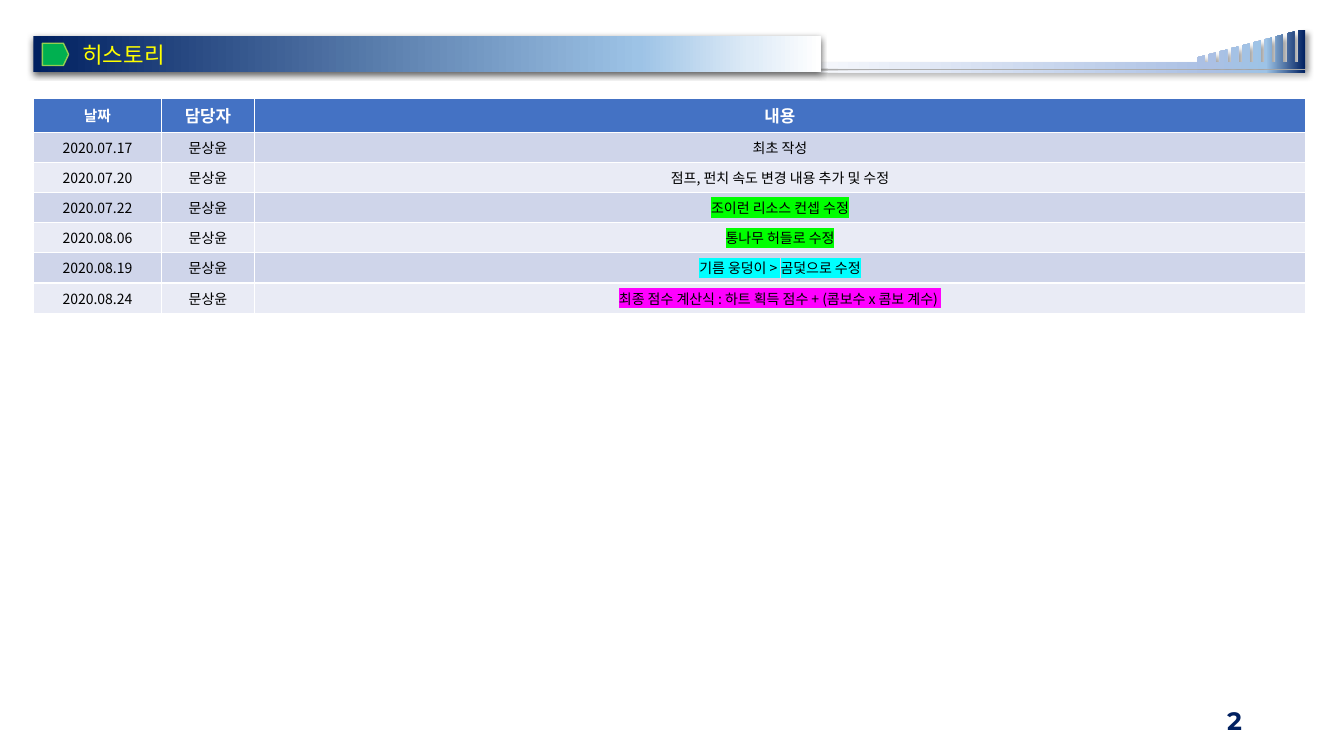
from typing import NamedTuple, Optional

from lxml.etree import SubElement
from pptx import Presentation
from pptx.dml.color import RGBColor
from pptx.enum.shapes import MSO_SHAPE
from pptx.enum.text import MSO_ANCHOR, PP_ALIGN
from pptx.oxml.ns import qn
from pptx.util import Cm, Pt

NAVY = RGBColor(0x00, 0x20, 0x60)
SKY = RGBColor(0x9D, 0xC3, 0xE6)
PALE_SKY = RGBColor(0xDE, 0xEB, 0xF7)
MIST = RGBColor(0xF6, 0xF8, 0xFC)
STEEL = RGBColor(0xAB, 0xC0, 0xE4)
WHITE = RGBColor(0xFF, 0xFF, 0xFF)
BLACK = RGBColor(0x00, 0x00, 0x00)
YELLOW = RGBColor(0xFF, 0xFF, 0x00)
GREEN = RGBColor(0x00, 0xB0, 0x50)
LIGHT_GREEN = RGBColor(0x92, 0xD0, 0x50)
HEADER_BLUE = RGBColor(0x44, 0x72, 0xC4)
BANDS = (RGBColor(0xCF, 0xD5, 0xEA), RGBColor(0xE9, 0xEB, 0xF5))
LIME = RGBColor(0x00, 0xFF, 0x00)
CYAN = RGBColor(0x00, 0xFF, 0xFF)
MAGENTA = RGBColor(0xFF, 0x00, 0xFF)
KOREAN_FONT = "Noto Sans CJK KR"
NUMBER_FONT = "Montserrat"


class Change(NamedTuple):
    date: str
    content: str
    highlight: Optional[RGBColor] = None


class Shadow(NamedTuple):
    opacity: int
    blur: float
    distance: float
    angle: int


AUTHOR = "문상윤"
HEADINGS = (("날짜", 10.5), ("담당자", 12), ("내용", 12))
COLUMN_WIDTHS = (3.23, 2.34, 26.49)
HISTORY = (
    Change("2020.07.17", "최초 작성"),
    Change("2020.07.20", "점프, 펀치 속도 변경 내용 추가 및 수정"),
    Change("2020.07.22", "조이런 리소스 컨셉 수정", LIME),
    Change("2020.08.06", "통나무 허들로 수정", LIME),
    Change("2020.08.19", "기름 웅덩이 > 곰덫으로 수정", CYAN),
    Change("2020.08.24", "최종 점수 계산식 : 하트 획득 점수 + (콤보수 x 콤보 계수) ", MAGENTA),
)


def write_text(frame, text: str, *, size: float, color: RGBColor, font: str = KOREAN_FONT,
               bold: bool = False, align=PP_ALIGN.CENTER,
               highlight: Optional[RGBColor] = None) -> None:
    frame.word_wrap = True
    paragraph = frame.paragraphs[0]
    paragraph.alignment = align
    run = paragraph.add_run()
    run.text = text
    run.font.size = Pt(size)
    run.font.bold = bold
    run.font.color.rgb = color
    properties = run.font._element
    if highlight is not None:
        SubElement(SubElement(properties, qn("a:highlight")), qn("a:srgbClr"), val=str(highlight))
    run.font.name = font
    SubElement(properties, qn("a:ea"), typeface=font)


def paint_gradient(shape, stops) -> None:
    shape.fill.gradient()
    shape.fill.gradient_angle = 0
    stop_list = shape._element.spPr.find(qn("a:gradFill")).find(qn("a:gsLst"))
    stop_list.clear()
    for percent, color in stops:
        stop = SubElement(stop_list, qn("a:gs"), pos=str(percent * 1000))
        SubElement(stop, qn("a:srgbClr"), val=str(color))
    shape.line.fill.background()


def cast_shadow(shape, shadow: Shadow) -> None:
    shape.shadow.inherit = False
    effects = shape._element.spPr.find(qn("a:effectLst"))
    outer = SubElement(effects, qn("a:outerShdw"), blurRad=str(Pt(shadow.blur)),
                       dist=str(Pt(shadow.distance)), dir=str(shadow.angle * 60000),
                       algn="ctr", rotWithShape="0")
    color = SubElement(outer, qn("a:srgbClr"), val=str(BLACK))
    SubElement(color, qn("a:alpha"), val=str(shadow.opacity * 1000))


def add_rising_bars(slide) -> None:
    left, right, base = 20.6, 32.89, 1.57
    outline = [(right, 0.76), (right, 1.73), (left, 1.73), (left, base)]
    for index in range(10):
        bar_left = 30.18 + 0.282 * index
        bar_right = min(bar_left + 0.18, right)
        top = 1.44 - 0.075 * index
        outline += [(bar_left, base), (bar_left, top), (bar_right, max(top - 0.04, 0.76))]
        if index < 9:
            outline.append((bar_right, base))
    underline = [(left, 1.78), (right, 1.78), (right, 1.83), (left, 1.83)]

    builder = slide.shapes.build_freeform(Cm(underline[0][0]), Cm(underline[0][1]))
    builder.add_line_segments([(Cm(x), Cm(y)) for x, y in underline[1:]], close=True)
    builder.move_to(Cm(outline[0][0]), Cm(outline[0][1]))
    builder.add_line_segments([(Cm(x), Cm(y)) for x, y in outline[1:]], close=True)
    shape = builder.convert_to_shape()
    paint_gradient(shape, ((0, MIST), (80, STEEL), (92, SKY), (100, NAVY)))
    cast_shadow(shape, Shadow(40, 4, 3, 45))


def add_title_bar(slide) -> None:
    bar = slide.shapes.add_shape(MSO_SHAPE.RECTANGLE, Cm(0.84), Cm(0.91), Cm(19.84), Cm(0.91))
    paint_gradient(bar, ((0, NAVY), (77, SKY), (91, PALE_SKY), (100, WHITE)))
    cast_shadow(bar, Shadow(63, 4.5, 1.5, 90))
    bar.text_frame.margin_left = Cm(1.24)
    bar.text_frame.vertical_anchor = MSO_ANCHOR.MIDDLE
    write_text(bar.text_frame, "히스토리", size=16, color=YELLOW, align=PP_ALIGN.LEFT)

    marker = slide.shapes.add_shape(MSO_SHAPE.FLOWCHART_OFFPAGE_CONNECTOR,
                                    Cm(1.12), Cm(1.04), Cm(0.56), Cm(0.66))
    marker.rotation = 270
    marker.shadow.inherit = False
    marker.fill.solid()
    marker.fill.fore_color.rgb = GREEN
    marker.line.color.rgb = LIGHT_GREEN
    marker.line.width = Pt(1)


def fill_cell(cell, text: str, fill: RGBColor, **text_format) -> None:
    cell.fill.solid()
    cell.fill.fore_color.rgb = fill
    cell.vertical_anchor = MSO_ANCHOR.MIDDLE
    write_text(cell.text_frame, text, **text_format)


def add_history_table(slide) -> None:
    header_height, row_height = 0.86, 0.76
    table = slide.shapes.add_table(
        len(HISTORY) + 1, len(HEADINGS), Cm(0.84), Cm(2.47),
        Cm(sum(COLUMN_WIDTHS)), Cm(header_height + row_height * len(HISTORY))).table
    for column, width in zip(table.columns, COLUMN_WIDTHS):
        column.width = Cm(width)
    for index, row in enumerate(table.rows):
        row.height = Cm(row_height if index else header_height)

    for column, (heading, size) in enumerate(HEADINGS):
        fill_cell(table.cell(0, column), heading, HEADER_BLUE, size=size, color=WHITE, bold=True)
    for row, change in enumerate(HISTORY, start=1):
        band = BANDS[(row - 1) % 2]
        for column, text in enumerate((change.date, AUTHOR, change.content)):
            fill_cell(table.cell(row, column), text, band, size=10, color=BLACK,
                      highlight=change.highlight if column == 2 else None)
        content = table.cell(row, 2)
        content.margin_left = content.margin_right = Cm(0)
        content.margin_top = content.margin_bottom = Cm(0)


def add_page_number(slide) -> None:
    box = slide.shapes.add_textbox(Cm(23.93), Cm(17.65), Cm(7.62), Cm(1.02))
    box.text_frame.vertical_anchor = MSO_ANCHOR.MIDDLE
    write_text(box.text_frame, "2", size=18, color=NAVY, font=NUMBER_FONT,
               bold=True, align=PP_ALIGN.RIGHT)


def main() -> None:
    presentation = Presentation()
    presentation.slide_width = Cm(33.87)
    presentation.slide_height = Cm(19.05)
    slide = presentation.slides.add_slide(presentation.slide_layouts[6])

    # Page number and header band
    add_page_number(slide)
    add_rising_bars(slide)
    add_title_bar(slide)

    # Change history
    add_history_table(slide)
    presentation.save("out.pptx")


if __name__ == "__main__":
    main()
